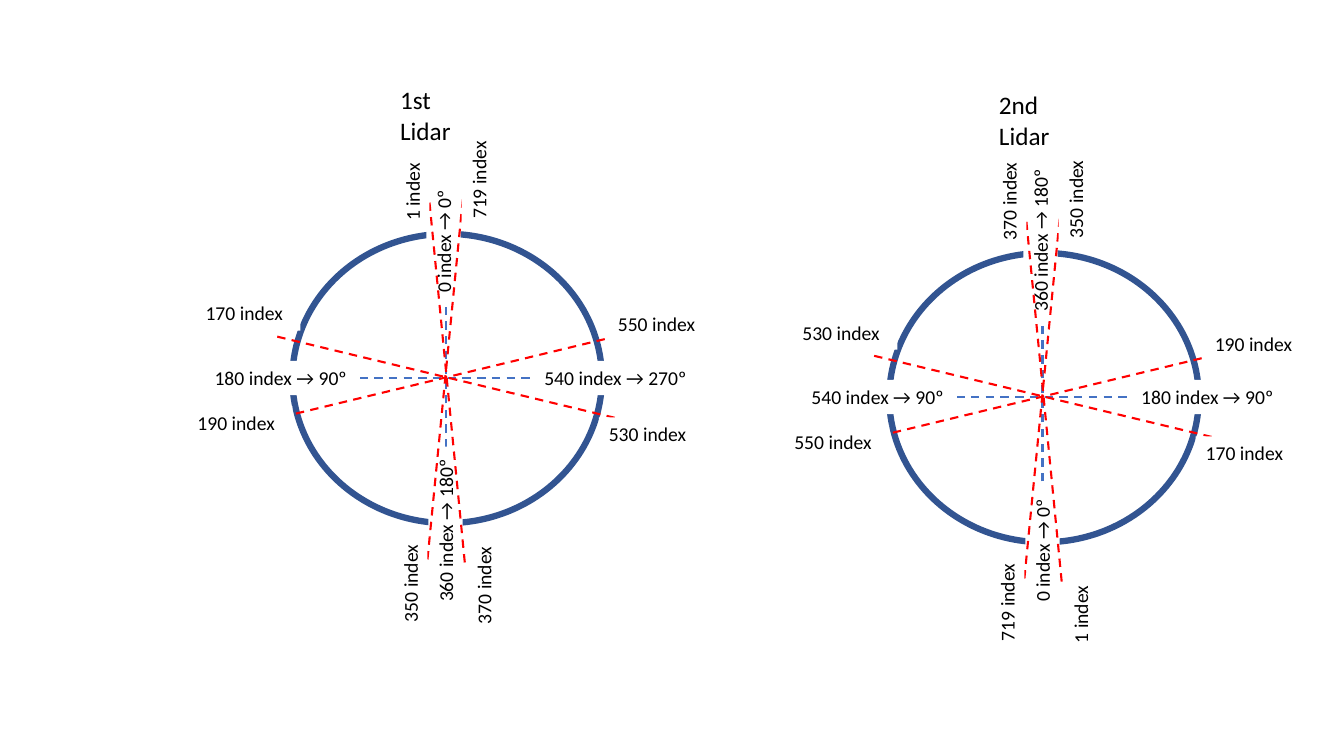
from pptx import Presentation
from pptx.dml.color import RGBColor
from pptx.enum.dml import MSO_LINE
from pptx.enum.shapes import MSO_CONNECTOR, MSO_SHAPE
from pptx.enum.text import MSO_AUTO_SIZE
from pptx.oxml.ns import qn
from pptx.util import Inches, Pt
from lxml import etree

WHITE = RGBColor(255, 255, 255)
BLACK = RGBColor(0, 0, 0)
NAVY = RGBColor(0x32, 0x54, 0x91)
BLUE = RGBColor(0x44, 0x72, 0xC4)
RED = RGBColor(255, 0, 0)
DASH = MSO_LINE.DASH
STRAIGHT = MSO_CONNECTOR.STRAIGHT
OVAL = MSO_SHAPE.OVAL
GROW = MSO_AUTO_SIZE.SHAPE_TO_FIT_TEXT

SLIDE_WIDTH, SLIDE_HEIGHT = 13.33, 7.5
LABEL_HEIGHT, SIDE_WIDTH = 0.34, 1.04
BOTTOM_BASELINE = 6.07

LIDARS = [
    {
        "title": ("1st Lidar", 3.87, 0.79, 1.05),
        "hub": (4.42, 3.75),
        "axes": [("180 index → 90º", 1.54), ("540 index → 270º", 1.64),
                 ("0 index → 0º", 1.26), ("360 index → 180º", 1.64)],
        "sides": ["1 index", "350 index", "370 index", "719 index",
                  "170 index", "190 index", "550 index", "530 index"],
    },
    {
        "title": ("2nd Lidar", 9.81, 0.84, 1.03),
        "hub": (10.34, 3.94),
        "axes": [("540 index → 90º", 1.54), ("180 index → 90º", 1.54),
                 ("360 index → 180º", 1.77), ("0 index → 0º", 1.24)],
        "sides": ["370 index", "719 index", "1 index", "350 index",
                  "530 index", "550 index", "190 index", "170 index"],
    },
]

SIDE_SLOTS = [
    (-0.33, -1.46, True), (-0.35, 2.52, True),
    (0.38, 2.54, True), (0.33, -1.48, True),
    (-2.48, -0.64, False), (-2.56, 0.45, False),
    (1.61, -0.53, False), (1.52, 0.56, False),
]
AXIS_LINES = [(-1.44, 0, 1.7, 0), (0, 1.42, 0, -1.3)]
SECTOR_LINES = [
    (-1.67, -0.41, 1.74, 0.41), (-0.18, 1.8, 0.17, -1.77),
    (0.19, 1.83, -0.16, -1.74), (1.72, -0.42, -1.68, 0.4),
]
RING = (-1.52, -1.43, 3.07, 2.87)


def add_text(slide, text, left, top, width, height, size=14, fill=None, rotation=0, wrap=False):
    shape = slide.shapes.add_textbox(Inches(left), Inches(top), Inches(width), Inches(height))
    shape.rotation = rotation
    if fill is not None:
        shape.fill.solid()
        shape.fill.fore_color.rgb = fill
    frame = shape.text_frame
    frame.word_wrap = wrap
    frame.auto_size = GROW
    run = frame.paragraphs[0].add_run()
    run.text = text
    run.font.name = "Calibri"
    run.font.size = Pt(size)
    run.font.color.rgb = BLACK


def add_label(slide, hub, text, width, slot, wrap=False):
    start_x, start_y, upward = slot
    center_x = hub[0] + start_x + (0 if upward else width / 2)
    center_y = hub[1] + start_y - (width / 2 if upward else 0)
    add_text(slide, text, center_x - width / 2, center_y - LABEL_HEIGHT / 2, width, LABEL_HEIGHT,
             fill=WHITE, rotation=270 if upward else 0, wrap=wrap)


def add_dashes(slide, hub, lines, color):
    for x1, y1, x2, y2 in lines:
        line = slide.shapes.add_connector(STRAIGHT, Inches(hub[0] + x1), Inches(hub[1] + y1),
                                          Inches(hub[0] + x2), Inches(hub[1] + y2))
        line.line.color.rgb = color
        line.line.width = Pt(1.5)
        line.line.dash_style = DASH
        etree.SubElement(line._element.spPr, qn("a:effectLst"))


def add_lidar(slide, lidar):
    hub = lidar["hub"]
    left, top, width, height = RING
    ring = slide.shapes.add_shape(OVAL, Inches(hub[0] + left), Inches(hub[1] + top),
                                  Inches(width), Inches(height))
    ring.shadow.inherit = False
    ring.fill.background()
    ring.line.color.rgb = NAVY
    ring.line.width = Pt(4.5)

    add_dashes(slide, hub, AXIS_LINES, BLUE)
    axis_slots = [(-2.39, 0, False), (0.88, 0, False),
                  (-0.02, -0.75, True), (0, BOTTOM_BASELINE - hub[1], True)]
    for (text, label_width), slot in zip(lidar["axes"], axis_slots):
        add_label(slide, hub, text, label_width, slot)

    add_dashes(slide, hub, SECTOR_LINES, RED)
    for text, slot in zip(lidar["sides"], SIDE_SLOTS):
        add_label(slide, hub, text, SIDE_WIDTH, slot, wrap=True)

    text, title_left, title_top, title_width = lidar["title"]
    add_text(slide, text, title_left, title_top, title_width, 0.4, size=18)


def main():
    presentation = Presentation()
    presentation.slide_width = Inches(SLIDE_WIDTH)
    presentation.slide_height = Inches(SLIDE_HEIGHT)
    slide = presentation.slides.add_slide(presentation.slide_layouts[6])
    for lidar in LIDARS:
        add_lidar(slide, lidar)
    presentation.save("out.pptx")


if __name__ == "__main__":
    main()
